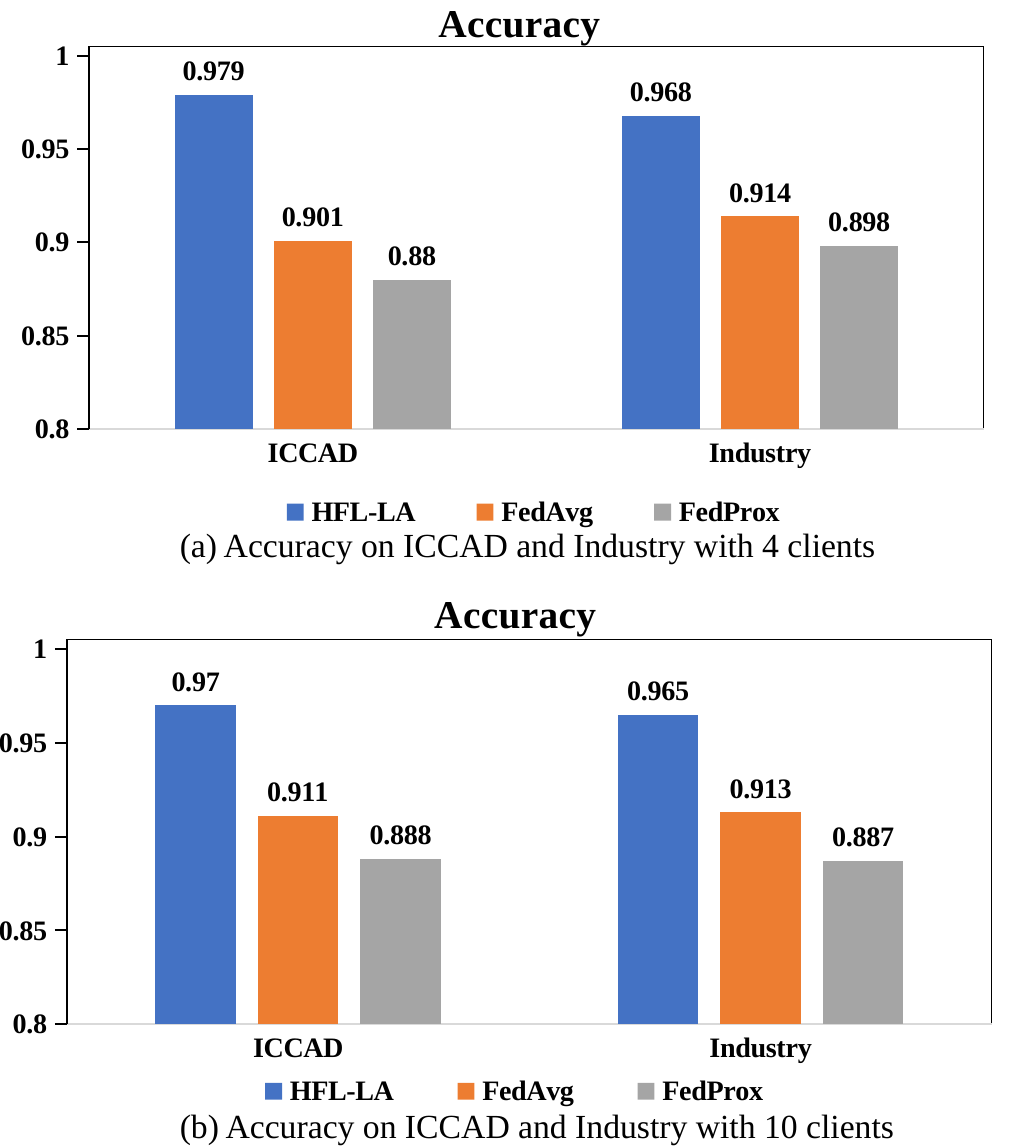
from dataclasses import dataclass
from lxml.etree import SubElement
from pptx import Presentation
from pptx.chart.data import CategoryChartData
from pptx.dml.color import RGBColor
from pptx.enum.chart import XL_CHART_TYPE, XL_LABEL_POSITION, XL_LEGEND_POSITION, XL_TICK_MARK
from pptx.oxml import parse_xml
from pptx.oxml.ns import nsdecls, qn
from pptx.util import Inches, Pt


@dataclass
class Theme:
    face: str = "Times New Roman"
    base: str = "Calibri"
    ink: str = "000000"
    pale: str = "D9D9D9"
    bars: tuple = ("4472C4", "ED7D31", "A5A5A5")
    title: int = 14
    note: int = 12
    label: int = 10
    line: float = 0.75


theme = Theme()


def write(frame, text, size, bold=False):
    """Put one formatted line into a text frame."""
    run = frame.paragraphs[0].add_run()
    run.text = text
    style(run.font, size, bold)


def style(font, size=theme.label, bold=True, face=theme.face):
    font.name, font.size, font.bold = face, Pt(size), bold
    font.color.rgb = RGBColor.from_string(theme.ink)


deck = Presentation()
deck.slide_width, deck.slide_height = Inches(5), Inches(5.67)
slide = deck.slides.add_slide(deck.slide_layouts[6])

names = ("HFL-LA", "FedAvg", "FedProx")
# All places are in inches; plot, title and legend count from the chart's corner
panels = [
    dict(box=(-0.11, 2.62, 5.12, 3),
         vals=((0.97, 0.965), (0.911, 0.913), (0.888, 0.887)),
         plot=(0.44, 0.54, 4.57, 1.9), title=(2.22, 0.25), legend=(1.15, 2.65, 3, 0.24),
         note="(b) Accuracy on ICCAD and Industry with 10 clients", top=5.41),
    dict(box=(-0.01, -0.13, 5.02, 2.86),
         vals=((0.979, 0.968), (0.901, 0.914), (0.88, 0.898)),
         plot=(0.45, 0.36, 4.42, 1.89), title=(2.14, 0.08), legend=(1.17, 2.54, 2.95, 0.24),
         note="(a) Accuracy on ICCAD and Industry with 4 clients", top=2.54),
]

for panel in panels:
    # Chart and its data
    data = CategoryChartData()
    data.categories = ("ICCAD", "Industry")
    for name, vals in zip(names, panel["vals"]):
        data.add_series(name, vals)
    box = [Inches(n) for n in panel["box"]]
    chart = slide.shapes.add_chart(XL_CHART_TYPE.COLUMN_CLUSTERED, *box, data).chart
    style(chart.font, bold=False, face=theme.base)

    # Title and legend
    chart.has_title = chart.has_legend = True
    write(chart.chart_title.text_frame, "Accuracy", size=theme.title, bold=True)
    chart.legend.position = XL_LEGEND_POSITION.BOTTOM
    chart.legend.include_in_layout = False
    style(chart.legend.font)

    # Axes
    cat, val = chart.category_axis, chart.value_axis
    for axis, tone, tick in ((cat, theme.pale, XL_TICK_MARK.NONE),
                             (val, theme.ink, XL_TICK_MARK.OUTSIDE)):
        axis.has_major_gridlines = False
        axis.major_tick_mark, axis.minor_tick_mark = tick, XL_TICK_MARK.NONE
        axis.format.line.color.rgb = RGBColor.from_string(tone)
        axis.format.line.width = Pt(theme.line)
        style(axis.tick_labels.font)
    val.minimum_scale, val.maximum_scale, val.major_unit = 0.8, 1.005, 0.05

    # Bars and value labels
    bars = chart.plots[0]
    bars.gap_width, bars.overlap, bars.vary_by_categories = 219, -27, False
    for item, tone in zip(bars.series, theme.bars):
        item.format.fill.solid()
        item.format.fill.fore_color.rgb = RGBColor.from_string(tone)
        tags = item.data_labels
        tags.show_value, tags.position = True, XL_LABEL_POSITION.OUTSIDE_END
        style(tags.font)

    # Hairline plot frame
    area = chart._chartSpace.chart.plotArea
    area.append(parse_xml(
        f'<c:spPr {nsdecls("c", "a")}><a:noFill/><a:ln><a:solidFill>'
        f'<a:srgbClr val="{theme.ink}"/></a:solidFill></a:ln></c:spPr>'))

    # Fixed places for plot, title and legend, as shares of the chart
    wide, high = panel["box"][2:]
    for part, node, spot in (("plot", area, 0), ("title", chart.chart_title._element, 1),
                             ("legend", chart.legend._element, 1)):
        for old in node.findall(qn("c:layout")):
            node.remove(old)
        layout = parse_xml(f'<c:layout {nsdecls("c")}><c:manualLayout/></c:layout>')
        rules = [("xMode", "edge"), ("yMode", "edge")]
        if part == "plot":
            rules.insert(0, ("layoutTarget", "inner"))
        for key, size, full in zip("xywh", panel[part], (wide, high) * 2):
            rules.append((key, size / full))
        for key, value in rules:
            SubElement(layout[0], qn(f"c:{key}")).set("val", str(value))
        node.insert(spot, layout)

# Captions
for panel in reversed(panels):
    note = slide.shapes.add_textbox(Inches(0.79), Inches(panel["top"]), Inches(3.84), Inches(0.3))
    note.text_frame.word_wrap = True
    write(note.text_frame, panel["note"], size=theme.note)

deck.save("out.pptx")
